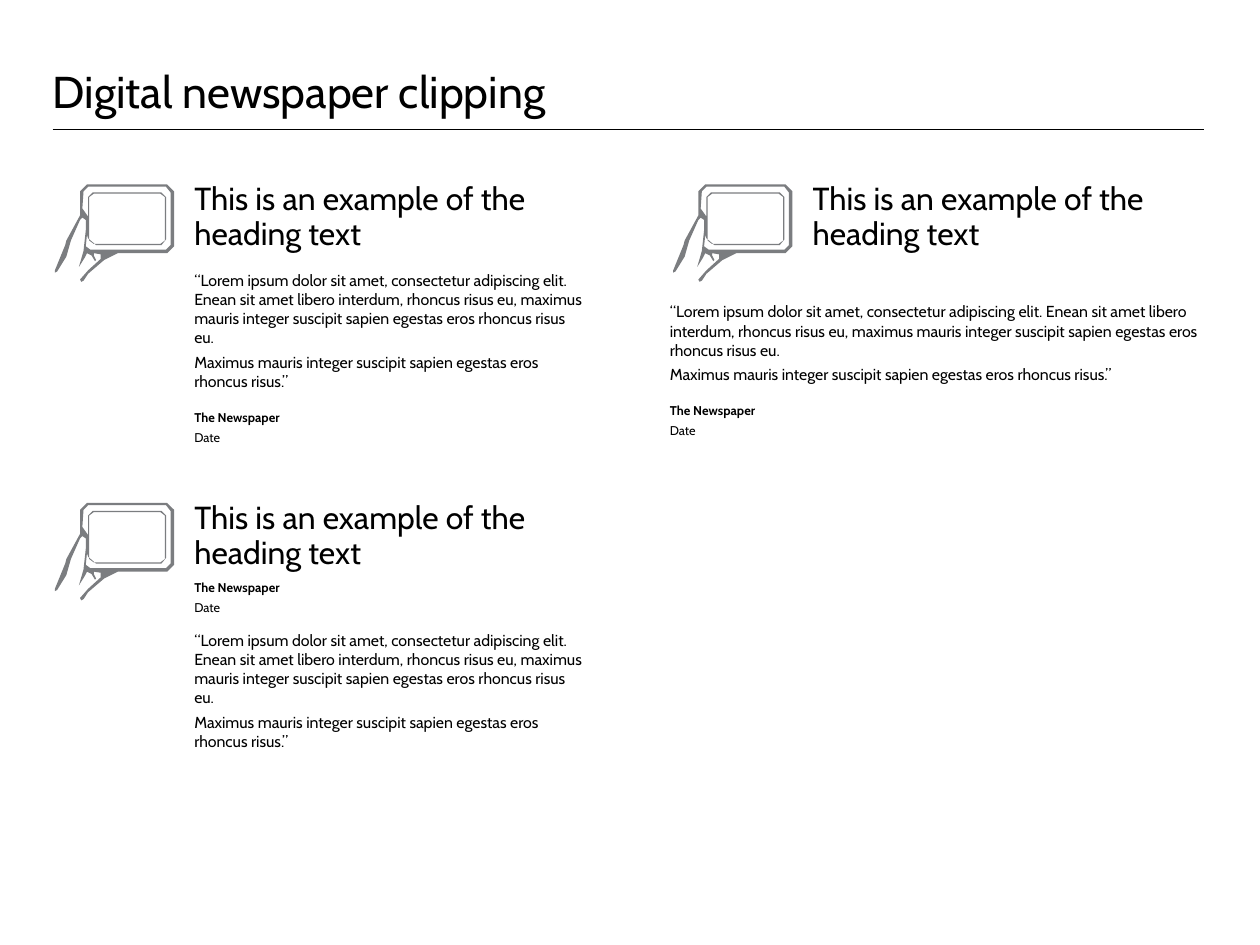
"""Build a slide of three digital newspaper clippings."""
from dataclasses import dataclass

from lxml.etree import SubElement
from pptx import Presentation
from pptx.dml.color import RGBColor
from pptx.enum.shapes import MSO_CONNECTOR
from pptx.enum.text import MSO_ANCHOR, MSO_AUTO_SIZE, PP_ALIGN
from pptx.oxml.ns import qn
from pptx.slide import Slide
from pptx.text.text import TextFrame
from pptx.util import Inches, Pt

WIDE, HIGH = Inches(11), Inches(8.25)
EDGE, SPAN, RULE = 4.18, 91.36, 13.7
LEFT, RIGHT, TOP = 4.15, 53.22, 19.27
INDENT, ROW = 11.27, 33.7

HAND = """36,67 33,62 29,60 27,64 22,72 26,58 28,40 28,31 25,29 23,31 15,49
11,63 3,76 1,77 1,75 10,53 11,49 23,27 23,23 23,6 29,0 99,0 105,6 105,54
99,60 56,60 44,66 30,78 26,84 24,85 23,83 30,75 41,65 41,61 35,60 35,62
37,66"""
SCREEN = "64,8 35,8 31,11 31,49 35,52 93,52 97,49 97,11 93,8"
FRAME = """30,28 30,11 34,7 94,7 98,11 98,48 94,53 37,53 30,47 29,44 28,54
32,57 98,57 102,53 102,7 98,2 30,2 26,6 25,21"""


@dataclass(frozen=True)
class Theme:
    """Colours, font and type sizes."""
    ink: RGBColor = RGBColor(0, 0, 0)
    grey: RGBColor = RGBColor(0x7B, 0x7D, 0x80)
    font: str = "Cabin"
    title: float = 28
    head: float = 20
    body: float = 10
    small: float = 8


@dataclass(frozen=True)
class Para:
    """One paragraph with its size, gap before and line pitch in points."""
    text: str
    size: float
    gap: float = 0
    pitch: float | None = None
    bold: bool = False


@dataclass(frozen=True)
class Clip:
    """A clipping placed in hundredths of the slide, with its text offsets."""
    left: float
    top: float
    shift: float
    drop: float
    width: float
    height: float
    early: bool = False


THEME = Theme()
HEAD = [Para("This is an example of the heading text", THEME.head, pitch=22)]
QUOTE = [
    Para("“Lorem ipsum dolor sit amet, consectetur adipiscing elit. Enean sit amet "
         "libero interdum, rhoncus risus eu, maximus mauris integer suscipit sapien "
         "egestas eros rhoncus risus eu.", THEME.body),
    Para("Maximus mauris integer suscipit sapien egestas eros rhoncus risus.”",
         THEME.body, 3.6),
]
CLIPS = [
    Clip(LEFT, TOP, INDENT, 9.38, 31, 26.18),
    Clip(RIGHT, TOP, -0.06, 12.69, 42.27, 26.18),
    Clip(LEFT, TOP + ROW, INDENT, 13.73, 31, 19.39, early=True),
]


def credit(gap: float) -> list[Para]:
    """Return the source and date lines."""
    return [Para("The Newspaper", THEME.small, gap, bold=True),
            Para("Date", THEME.small, 3)]


def across(share: float) -> int:
    """Turn hundredths of the width into a length."""
    return round(WIDE * share / 100)


def down(share: float) -> int:
    """Turn hundredths of the height into a length."""
    return round(HIGH * share / 100)


def write(frame: TextFrame, paras: list[Para]) -> None:
    """Fill a frame with formatted paragraphs."""
    frame.word_wrap = True
    frame.auto_size = MSO_AUTO_SIZE.NONE
    frame.margin_left = frame.margin_right = 0
    frame.margin_top = frame.margin_bottom = 0
    frame.text = "\n".join(para.text for para in paras)
    for line, para in zip(frame.paragraphs, paras):
        line.alignment = PP_ALIGN.LEFT
        line.space_before = Pt(para.gap)
        if para.pitch:
            line.line_spacing = Pt(para.pitch)
        for run in line.runs:
            run.font.name = THEME.font
            run.font.size = Pt(para.size)
            run.font.bold = para.bold
            run.font.color.rgb = THEME.ink


def add_text(slide: Slide, left: float, top: float, width: float,
             height: float, paras: list[Para]) -> None:
    """Add a text box placed in hundredths of the slide."""
    box = slide.shapes.add_textbox(across(left), down(top),
                                   across(width), down(height))
    write(box.text_frame, paras)


def trace(dots: str) -> list[tuple[int, ...]]:
    """Read an outline given in 0.01 inch."""
    return [tuple(map(int, pair.split(","))) for pair in dots.split()]


def add_tablet(slide: Slide, left: float, top: float) -> None:
    """Draw the hand that holds a tablet."""
    start, *rest = trace(HAND)
    pen = slide.shapes.build_freeform(*start, scale=Inches(0.01))
    pen.add_line_segments(rest, close=True)
    for dots in (SCREEN, FRAME):
        start, *rest = trace(dots)
        pen.move_to(*start)
        pen.add_line_segments(rest, close=True)
    shape = pen.convert_to_shape(across(left), down(top))
    shape.shadow.inherit = False
    shape.fill.solid()
    shape.fill.fore_color.rgb = THEME.grey
    shape.line.fill.background()


def add_title(slide: Slide) -> None:
    """Fill the title and draw the rule below it."""
    title = slide.shapes.title
    title.left, title.top = across(EDGE), 0
    title.width, title.height = across(SPAN), down(12.48)
    write(title.text_frame,
          [Para("Digital newspaper clipping", THEME.title, pitch=32)])
    title.text_frame.vertical_anchor = MSO_ANCHOR.BOTTOM
    rule = slide.shapes.add_connector(MSO_CONNECTOR.STRAIGHT, across(EDGE), down(RULE),
                                      across(EDGE + SPAN), down(RULE))
    rule.line.color.rgb = THEME.ink
    rule.line.width = Pt(0.75)
    SubElement(rule._element.spPr, qn("a:effectLst"))


def add_clip(slide: Slide, clip: Clip) -> None:
    """Draw one clipping with its tablet, heading and quote."""
    head = HEAD + credit(6) if clip.early else HEAD
    quote = QUOTE if clip.early else QUOTE + credit(12)
    add_tablet(slide, clip.left + 0.12, clip.top + 0.25)
    add_text(slide, clip.left + clip.shift, clip.top + clip.drop,
             clip.width, clip.height, quote)
    add_text(slide, clip.left + INDENT, clip.top, 31, 10.42, head)


def main() -> None:
    """Build and save the slide."""
    deck = Presentation()
    deck.slide_width, deck.slide_height = WIDE, HIGH
    slide = deck.slides.add_slide(deck.slide_layouts[5])
    add_title(slide)
    for clip in CLIPS:
        add_clip(slide, clip)
    deck.save("out.pptx")


if __name__ == "__main__":
    main()
